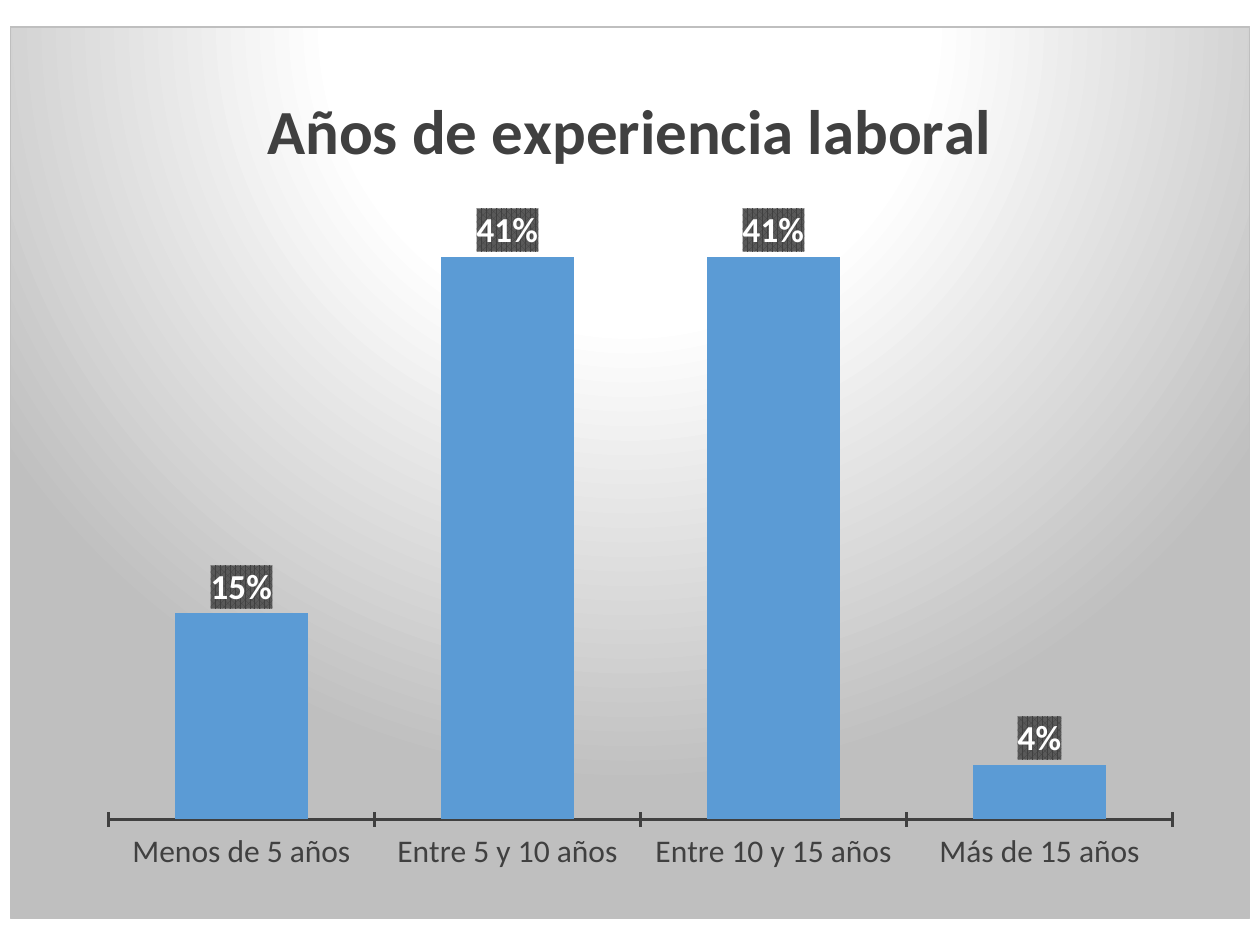
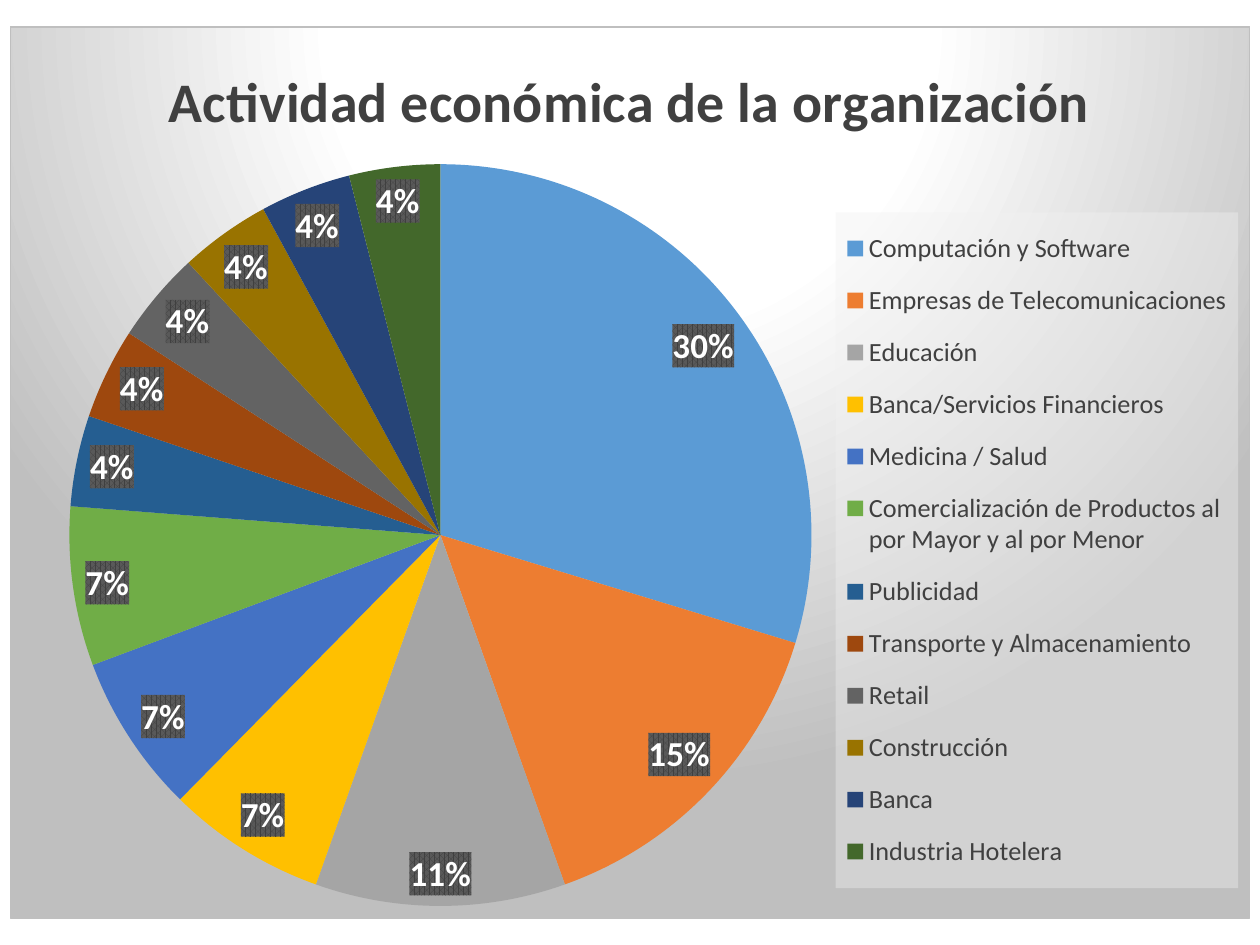
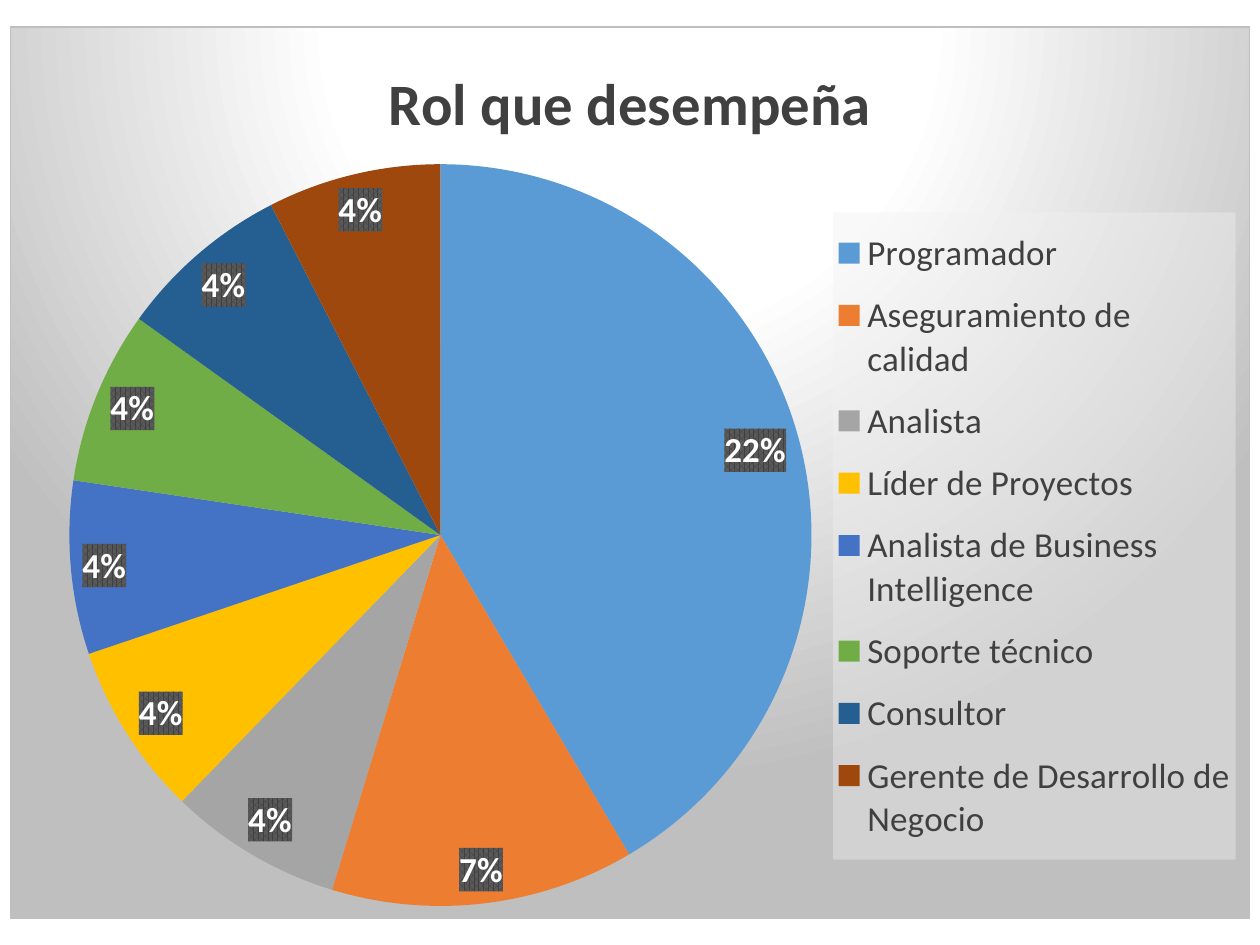
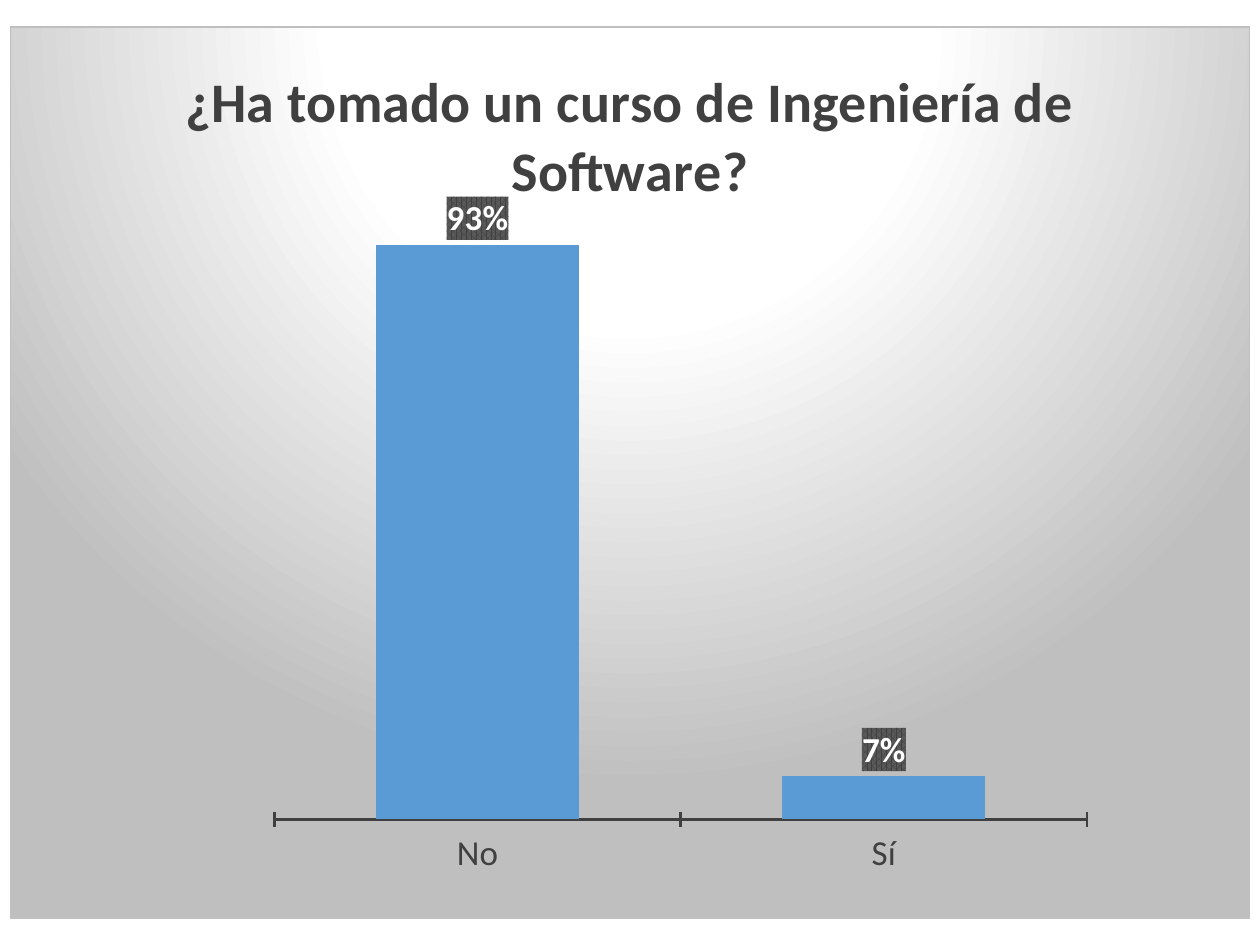
"""Survey results: two column charts and two pie charts on a shared backdrop."""
from dataclasses import dataclass
from typing import Optional

from lxml import etree
from pptx import Presentation
from pptx.chart.chart import Chart
from pptx.chart.data import CategoryChartData
from pptx.dml.color import RGBColor
from pptx.enum.chart import (XL_CHART_TYPE, XL_LABEL_POSITION, XL_LEGEND_POSITION,
                             XL_TICK_LABEL_POSITION, XL_TICK_MARK)
from pptx.oxml import parse_xml
from pptx.oxml.ns import nsdecls, qn
from pptx.util import Cm, Pt

COLUMN = XL_CHART_TYPE.COLUMN_CLUSTERED
PIE = XL_CHART_TYPE.PIE
BEST_FIT = XL_LABEL_POSITION.BEST_FIT
LEGEND_RIGHT = XL_LEGEND_POSITION.RIGHT
TICK_CROSS = XL_TICK_MARK.CROSS
TICK_NONE = XL_TICK_MARK.NONE
LABELS_LOW = XL_TICK_LABEL_POSITION.LOW

FONT = "Calibri"
PERCENT = "0%"
LABEL_SIZE = 20

WHITE = RGBColor(0xFF, 0xFF, 0xFF)
SILVER = RGBColor(0xBF, 0xBF, 0xBF)
PALE = RGBColor(0xF2, 0xF2, 0xF2)
DARK = RGBColor(0x40, 0x40, 0x40)
DARK_STRIPE = RGBColor(0x59, 0x59, 0x59)
PALETTE = [
    RGBColor(0x5B, 0x9B, 0xD5), RGBColor(0xED, 0x7D, 0x31), RGBColor(0xA5, 0xA5, 0xA5),
    RGBColor(0xFF, 0xC0, 0x00), RGBColor(0x44, 0x72, 0xC4), RGBColor(0x70, 0xAD, 0x47),
    RGBColor(0x25, 0x5E, 0x91), RGBColor(0x9E, 0x48, 0x0E), RGBColor(0x63, 0x63, 0x63),
    RGBColor(0x99, 0x73, 0x00), RGBColor(0x26, 0x44, 0x78), RGBColor(0x43, 0x68, 0x2B),
]


@dataclass
class Area:
    """A place inside the chart, as fractions of its size."""
    left: float
    top: float
    width: Optional[float] = None
    height: Optional[float] = None


@dataclass
class Survey:
    """One question with its answers and the way they are charted."""
    title: str
    title_size: float
    answers: dict[str, float]
    text_size: float
    plot: Area
    title_area: Optional[Area] = None
    legend: Optional[Area] = None
    show_percent: bool = False


PIE_PLOT = Area(0.02, 0.15, 0.66, 0.83)
PIE_PLOT.left, PIE_PLOT.top, PIE_PLOT.height = 0.017, 0.154, 0.832

SURVEYS = [
    Survey("Años de experiencia laboral", 36, {
        "Menos de 5 años": 0.15,
        "Entre 5 y 10 años": 0.41,
        "Entre 10 y 15 años": 0.41,
        "Más de 15 años": 0.04,
    }, 18, Area(0.079, 0.196, 0.859, 0.693), title_area=Area(0.198, 0.054)),
    Survey("Actividad económica de la organización", 32, {
        "Computación y Software": 30,
        "Empresas de Telecomunicaciones": 15,
        "Educación": 11,
        "Banca/Servicios Financieros": 7,
        "Medicina / Salud": 7,
        "Comercialización de Productos al por Mayor y al por Menor": 7,
        "Publicidad": 4,
        "Transporte y Almacenamiento": 4,
        "Retail": 4,
        "Construcción": 4,
        "Banca": 4,
        "Industria Hotelera": 4,
    }, 15, PIE_PLOT, legend=Area(0.666, 0.208, 0.325, 0.758), show_percent=True),
    Survey("Rol que desempeña", 33.6, {
        "Programador": 0.22,
        "Aseguramiento de calidad": 0.07,
        "Analista": 0.04,
        "Líder de Proyectos": 0.04,
        "Analista de Business Intelligence": 0.04,
        "Soporte técnico": 0.04,
        "Consultor": 0.04,
        "Gerente de Desarrollo de Negocio": 0.04,
    }, 20, PIE_PLOT, legend=Area(0.664, 0.208, 0.325, 0.726)),
    Survey("¿Ha tomado un curso de Ingeniería de Software?", 32, {
        "No": 0.93,
        "Sí": 0.07,
    }, 20, Area(0.213, 0.196, 0.656, 0.693)),
]


# Formatting helpers
def set_font(font, size: float, color: RGBColor = DARK, bold: bool = False) -> None:
    font.name = FONT
    font.size = Pt(size)
    font.bold = bold
    font.color.rgb = color


def shape_properties(content: str):
    return parse_xml(f'<c:spPr {nsdecls("c", "a")}>{content}</c:spPr>')


def solid(color: RGBColor, alpha: int = 100) -> str:
    return (f'<a:solidFill><a:srgbClr val="{color}"><a:alpha val="{alpha * 1000}"/>'
            '</a:srgbClr></a:solidFill>')


def place(element, area: Area, after: Optional[str] = None, inner: bool = False) -> None:
    """Give a chart part a fixed place, following the child named in after."""
    for old in element.findall(qn("c:layout")):
        element.remove(old)
    layout = parse_xml(f'<c:layout {nsdecls("c")}><c:manualLayout/></c:layout>')
    settings = {"layoutTarget": "inner" if inner else None, "xMode": "edge", "yMode": "edge",
                "x": area.left, "y": area.top, "w": area.width, "h": area.height}
    for name, value in settings.items():
        if value is not None:
            etree.SubElement(layout[0], qn(f"c:{name}")).set("val", str(value))
    if after:
        element.find(qn(after)).addnext(layout)
    else:
        element.insert(0, layout)


# Parts of the chart
def style_backdrop(chart: Chart) -> None:
    stops = "".join(f'<a:gs pos="{position * 1000}"><a:srgbClr val="{color}"/></a:gs>'
                    for position, color in ((0, WHITE), (39, WHITE), (100, SILVER)))
    backdrop = shape_properties(
        f'<a:gradFill><a:gsLst>{stops}</a:gsLst><a:path path="circle">'
        '<a:fillToRect l="50000" t="-80000" r="50000" b="180000"/></a:path></a:gradFill>'
        f'<a:ln w="{Pt(0.75)}">{solid(SILVER)}</a:ln>')
    chart.element.find(qn("c:chart")).addnext(backdrop)


def style_title(chart: Chart, survey: Survey) -> None:
    frame = chart.chart_title.text_frame
    frame.text = survey.title
    set_font(frame.paragraphs[0].runs[0].font, survey.title_size, bold=True)
    chart.chart_title.include_in_layout = False
    if survey.title_area:
        place(chart.chart_title.element, survey.title_area, after="c:tx")


def style_labels(series, show_percent: bool, is_pie: bool) -> None:
    labels = series.data_labels
    set_font(labels.font, LABEL_SIZE, WHITE, bold=True)
    labels.number_format = PERCENT
    labels.number_format_is_linked = False
    labels.show_percentage = show_percent
    labels.show_value = not show_percent
    if is_pie:
        labels.position = BEST_FIT
    pattern = shape_properties(
        f'<a:pattFill prst="pct75"><a:fgClr><a:srgbClr val="{DARK}"/></a:fgClr>'
        f'<a:bgClr><a:srgbClr val="{DARK_STRIPE}"/></a:bgClr></a:pattFill>')
    series.data_labels.font  # text properties exist before the fill is placed
    labels_element = series._element.find(qn("c:dLbls"))
    labels_element.find(qn("c:txPr")).addprevious(pattern)


def style_columns(chart: Chart, survey: Survey) -> None:
    plot = chart.plots[0]
    plot.gap_width = 100
    plot.vary_by_categories = False
    fill = plot.series[0].format.fill
    fill.solid()
    fill.fore_color.rgb = PALETTE[0]
    chart.has_legend = False
    chart.value_axis.visible = False
    chart.value_axis.has_major_gridlines = False
    chart.value_axis.minimum_scale = 0
    chart.value_axis.tick_labels.number_format = PERCENT
    chart.value_axis.tick_labels.number_format_is_linked = False
    axis = chart.category_axis
    axis.major_tick_mark = TICK_CROSS
    axis.minor_tick_mark = TICK_NONE
    axis.tick_label_position = LABELS_LOW
    axis.format.line.color.rgb = DARK
    axis.format.line.width = Pt(1.5)
    set_font(axis.tick_labels.font, survey.text_size)


def style_pie(chart: Chart, survey: Survey) -> None:
    plot = chart.plots[0]
    plot.vary_by_categories = True
    for index, color in enumerate(PALETTE[:len(survey.answers)]):
        fill = plot.series[0].points[index].format.fill
        fill.solid()
        fill.fore_color.rgb = color
    chart.has_legend = True
    legend = chart.legend
    legend.position = LEGEND_RIGHT
    legend.include_in_layout = False
    set_font(legend.font, survey.text_size)
    element = legend._element
    element.find(qn("c:txPr")).addprevious(shape_properties(solid(PALE, alpha=39)))
    place(element, survey.legend, after="c:legendPos")


def add_survey(deck, survey: Survey) -> None:
    page = deck.slides.add_slide(deck.slide_layouts[6])
    is_pie = survey.legend is not None
    data = CategoryChartData(number_format="General" if survey.show_percent else PERCENT)
    data.categories = list(survey.answers)
    data.add_series(survey.title, list(survey.answers.values()))
    chart = page.shapes.add_chart(PIE if is_pie else COLUMN, Cm(0.2), Cm(0.53),
                                  Cm(25), Cm(18), data).chart
    set_font(chart.font, 28 if survey.title_size == 33.6 else 32, RGBColor(0, 0, 0))
    style_backdrop(chart)
    style_title(chart, survey)
    if is_pie:
        style_pie(chart, survey)
    else:
        style_columns(chart, survey)
    style_labels(chart.plots[0].series[0], survey.show_percent, is_pie)
    place(chart.element.find(f'{qn("c:chart")}/{qn("c:plotArea")}'), survey.plot, inner=True)


def main() -> None:
    deck = Presentation()
    deck.slide_width, deck.slide_height = Cm(25.4), Cm(19.05)
    for survey in SURVEYS:
        add_survey(deck, survey)
    deck.save("out.pptx")


if __name__ == "__main__":
    main()
